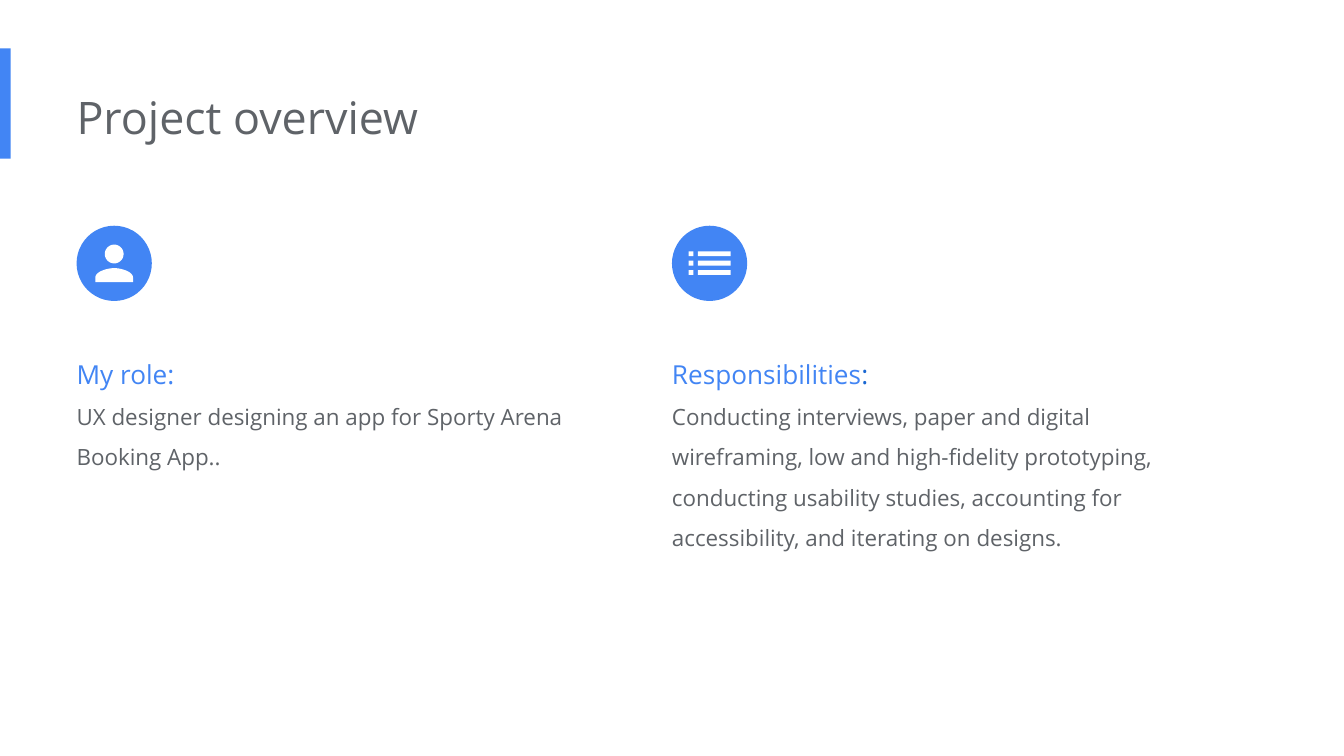
from math import cos, pi, sin

from pptx import Presentation
from pptx.dml.color import RGBColor
from pptx.enum.shapes import MSO_SHAPE as Preset
from pptx.util import Inches, Pt

# Grid: 100 columns by 56.25 rows of square cells
CELL = Inches(0.1)
COLUMNS, ROWS = 100, 56.25
BADGE = 5.6        # badge diameter in cells
BADGE_UNITS = 56   # icon drawing units across a badge
PRECISION = 100    # steps per icon drawing unit

FONT = "Open Sans"
BLUE, DARK_BLUE, GREY, WHITE = "4285F4", "1967D2", "5F6368", "FFFFFF"


def color(value):
    return RGBColor.from_string(value)


def cells(*counts):
    return [round(count * CELL) for count in counts]


def paint(shape, fill):
    shape.shadow.inherit = False
    shape.fill.solid()
    shape.fill.fore_color.rgb = color(fill)
    shape.line.fill.background()


def add_preset(slide, preset, box, fill):
    paint(slide.shapes.add_shape(preset, *cells(*box)), fill)


def add_text(slide, box, paragraphs, line_spacing=1.0):
    """Each paragraph is a list of (text, size, color) runs."""
    frame = slide.shapes.add_textbox(*cells(*box)).text_frame
    frame.word_wrap = True
    frame.margin_left = 0
    frame.margin_top = frame.margin_right = frame.margin_bottom = CELL
    for index, runs in enumerate(paragraphs):
        paragraph = frame.add_paragraph() if index else frame.paragraphs[0]
        paragraph.line_spacing = line_spacing
        for text, size, run_color in runs:
            run = paragraph.add_run()
            run.text = text
            run.font.name = FONT
            run.font.size = Pt(size)
            run.font.color.rgb = color(run_color)


def curve(start, control_a, control_b, end, steps=16):
    """Points along a cubic curve."""
    points = []
    for step in range(steps + 1):
        t = step / steps
        weights = ((1 - t) ** 3, 3 * t * (1 - t) ** 2, 3 * t * t * (1 - t), t ** 3)
        controls = (start, control_a, control_b, end)
        points.append(tuple(sum(w * p[axis] for w, p in zip(weights, controls))
                            for axis in (0, 1)))
    return points


def person_outlines():
    head = [(28 + 7 * cos(2 * pi * i / 40), 21 + 7 * sin(2 * pi * i / 40))
            for i in range(40)]
    left = curve((28, 31.5), (23, 31.5), (14, 34), (14, 38.5))
    right = curve((42, 38.5), (42, 34), (33, 31.5), (28, 31.5))
    return [head, left + [(14, 42), (42, 42)] + right]


def list_outlines():
    height = 3.6
    return [[(x, y), (x + width, y), (x + width, y + height), (x, y + height)]
            for y in (19, 26, 33)
            for x, width in ((12.3, height), (19.2, 24.4))]


def add_icon(slide, left, top, outlines):
    """Draws all outlines as one white shape over the badge at left, top."""
    scaled = [[(x * PRECISION, y * PRECISION) for x, y in outline]
              for outline in outlines]
    scale = BADGE * CELL / (BADGE_UNITS * PRECISION)
    builder = slide.shapes.build_freeform(*scaled[0][0], scale=scale)
    for index, outline in enumerate(scaled):
        if index:
            builder.move_to(*outline[0])
        builder.add_line_segments(outline[1:], close=True)
    paint(builder.convert_to_shape(*cells(left, top)), WHITE)


def add_header(slide, box):
    left, top, width, height = box
    # Accent bar at the slide edge
    add_preset(slide, Preset.RECTANGLE, (0, 3.6, 0.8, 8.2), BLUE)
    add_text(slide, (left, top, width, height), [[("Project overview", 24, GREY)]])


def add_topic(slide, box, outlines, heading, body):
    left, top, width, height = box
    # Round badge with its icon
    add_preset(slide, Preset.OVAL, (left, top, BADGE, BADGE), BLUE)
    add_icon(slide, left, top, outlines)
    # Heading and body below the badge
    text_offset = 7.7
    add_text(slide, (left, top + text_offset, width, height - text_offset),
             [heading, [(body, 12, GREY)]], line_spacing=1.5)


def main():
    presentation = Presentation()
    presentation.slide_width, presentation.slide_height = cells(COLUMNS, ROWS)
    slide = presentation.slides.add_slide(presentation.slide_layouts[6])

    margin, topic_top, topic_width = 5.7, 16.8, 37.7
    add_header(slide, (margin, 5.7, 67.3, 6.1))
    add_topic(slide, (margin, topic_top, topic_width, 18.3), person_outlines(),
              [("My role:", 14, BLUE)],
              "UX designer designing an app for Sporty Arena Booking App..")
    add_topic(slide, (COLUMNS / 2, topic_top, topic_width, 24.4), list_outlines(),
              [("Responsibilities", 14, BLUE), (":", 14, DARK_BLUE)],
              "Conducting interviews, paper and digital wireframing, low and "
              "high-fidelity prototyping, conducting usability studies, "
              "accounting for accessibility, and iterating on designs.")
    presentation.save("out.pptx")


if __name__ == "__main__":
    main()
